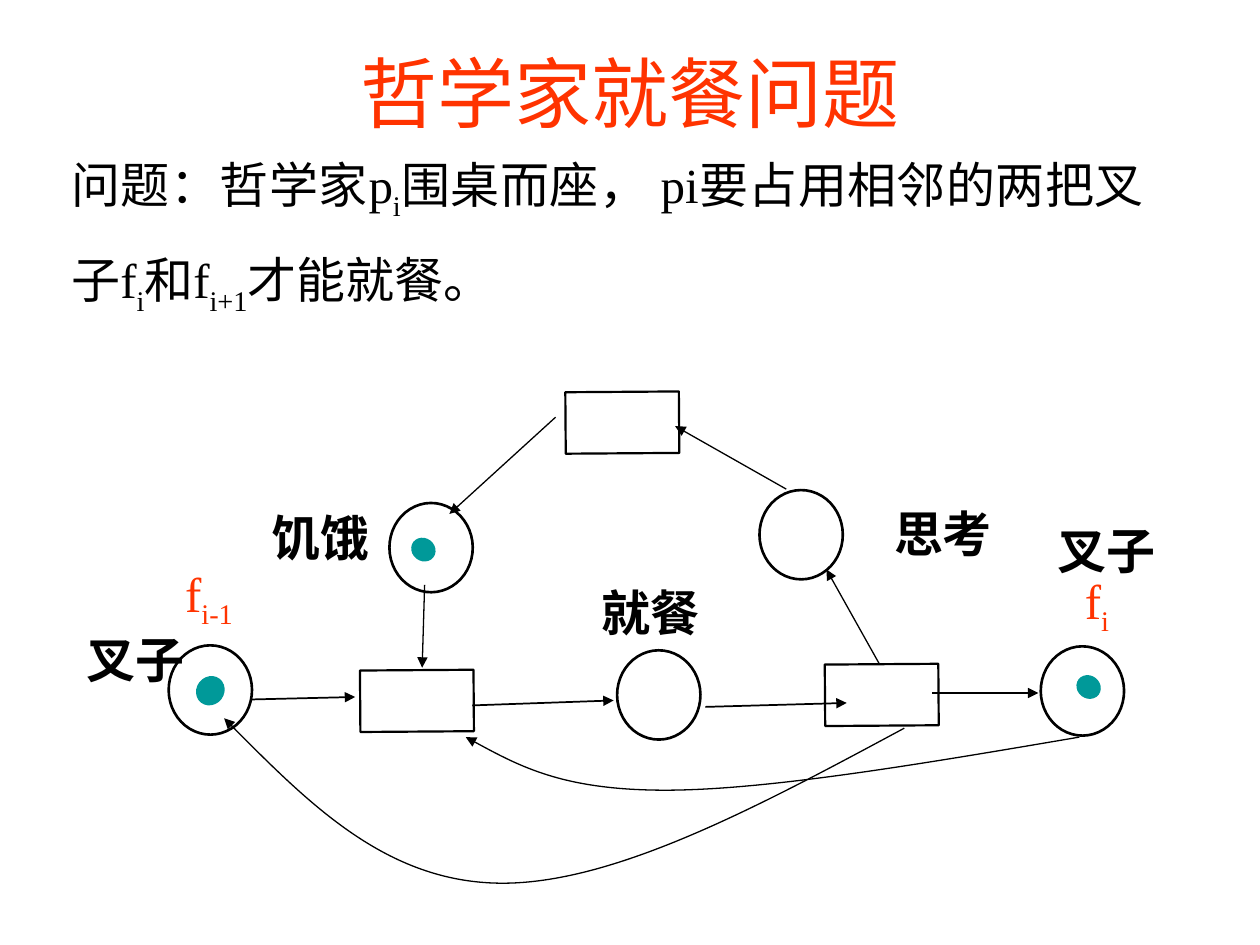
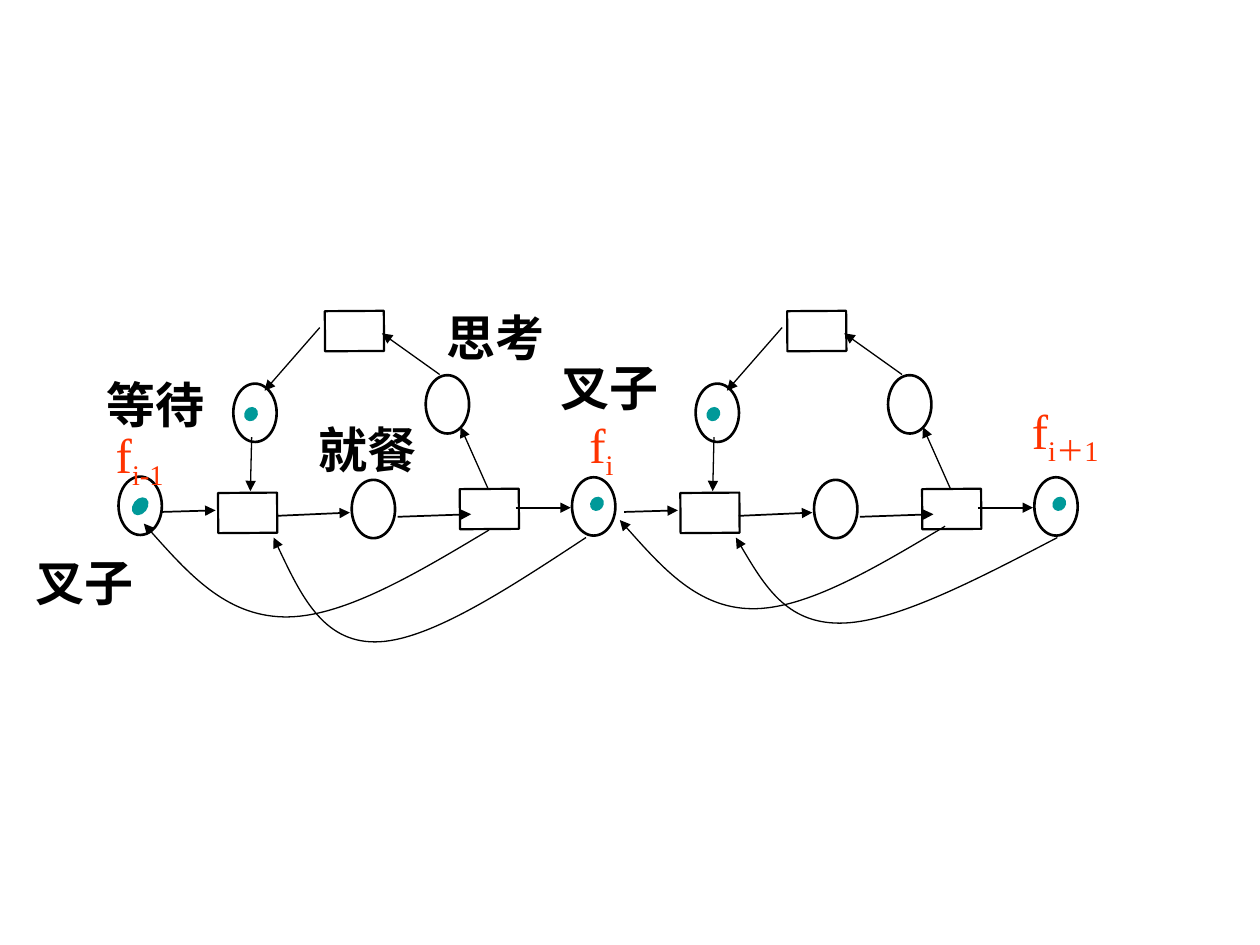
from dataclasses import dataclass

from lxml.etree import SubElement
from pptx import Presentation
from pptx.dml.color import RGBColor
from pptx.enum.shapes import MSO_CONNECTOR, MSO_SHAPE
from pptx.enum.text import MSO_ANCHOR, MSO_AUTO_SIZE, PP_ALIGN
from pptx.oxml.ns import qn
from pptx.util import Cm, Pt


@dataclass(frozen=True)
class Theme:
    font: str = "Times New Roman"
    ink: RGBColor = RGBColor(0x00, 0x00, 0x00)
    accent: RGBColor = RGBColor(0xFF, 0x33, 0x00)
    token: RGBColor = RGBColor(0x00, 0x99, 0x99)
    title_size: int = 44
    text_size: int = 28
    place_line: float = 1.5
    transition_line: float = 1.25
    flow_line: float = 1
    thin_line: float = 0.75


THEME = Theme()

# The net is laid out in centimetres on a design box, then scaled to its box.
DESIGN_WIDTH, DESIGN_HEIGHT = 19.25, 7.01
NODE_TILT, TOKEN_TILT = 359.6, 37.7

PLACE_SIZE = (1.68, 1.8)
FORK_BEFORE, FORK_AFTER = (0, 5.11), (17.58, 5.13)
STATE_PLACES = {
    "eating": (9.04, 5.21),
    "hungry": (4.45, 2.24),
    "thinking": (11.91, 1.98),
}

TRANSITION_SIZE = (2.29, 1.24)
TRANSITIONS = [(3.86, 5.61), (8, 0), (13.23, 5.49)]

HUNGRY_TOKEN = (4.88, 2.95, 0.51, 0.46)
FORK_BEFORE_TOKEN = (0.56, 5.72, 0.56, 0.61)
FORK_AFTER_TOKEN = (18.29, 5.72, 0.51, 0.46)

FLOW_ARROWS = [
    ((1.68, 6.2), (3.76, 6.15)),
    ((6.12, 6.32), (8.97, 6.22)),
    ((10.82, 6.35), (13.67, 6.27)),
    ((15.39, 6.07), (17.53, 6.07)),
]
CYCLE_ARROWS = [
    ((14.33, 5.49), (13.26, 3.58)),
    ((12.45, 1.96), (10.21, 0.69)),
    ((7.8, 0.51), (5.66, 2.46)),
    ((5.16, 3.89), (5.11, 5.56)),
]

STATE_LABEL_SIZE = (2.46, 1.45)
FORK_LABEL_HEIGHT = 1.6
LABEL_SLACK = 0.1  # added on both sides so that a label stays on one line


@dataclass(frozen=True)
class Box:
    left: float
    top: float
    width: float
    height: float

    def point(self, x, y):
        """Slide position of a point of the design box."""
        return (Cm(self.left + x * self.width / DESIGN_WIDTH),
                Cm(self.top + y * self.height / DESIGN_HEIGHT))

    def extent(self, width, height):
        return (Cm(width * self.width / DESIGN_WIDTH),
                Cm(height * self.height / DESIGN_HEIGHT))


def add_text(slide, text, left, top, width, height, *, size=THEME.text_size,
             color=THEME.ink, bold=False, align=PP_ALIGN.CENTER, wrap=False,
             closing_size=None):
    """Add a text box; every second piece between bars is a subscript.

    A closing size adds a final space of that size, which opens up the last line.
    """
    slack = 0 if wrap else LABEL_SLACK
    frame = slide.shapes.add_textbox(
        Cm(left - slack), Cm(top), Cm(width + 2 * slack), Cm(height)).text_frame
    frame.word_wrap = wrap
    frame.auto_size = MSO_AUTO_SIZE.NONE if wrap else MSO_AUTO_SIZE.SHAPE_TO_FIT_TEXT
    frame.vertical_anchor = MSO_ANCHOR.TOP
    paragraph = frame.paragraphs[0]
    paragraph.alignment = align
    pieces = [(piece, size, index % 2) for index, piece in enumerate(text.split("|"))]
    if closing_size:
        pieces.append((" ", closing_size, False))
    for piece, piece_size, is_subscript in pieces:
        if not piece:
            continue
        run = paragraph.add_run()
        run.text = piece
        run.font.name = THEME.font
        run.font.size = Pt(piece_size)
        run.font.bold = bold
        run.font.color.rgb = color
        if is_subscript:
            run.font._element.set("baseline", "-25000")


def style_line(shape, width, arrow=False):
    shape.line.color.rgb = THEME.ink
    shape.line.width = Pt(width)
    if arrow:
        SubElement(shape.line._get_or_add_ln(), qn("a:tailEnd"), type="triangle")


def add_node(slide, box, kind, position, size, line_width):
    node = slide.shapes.add_shape(kind, *box.point(*position), *box.extent(*size))
    node.shadow.inherit = False
    node.rotation = NODE_TILT
    node.fill.background()
    style_line(node, line_width)


def add_token(slide, box, x, y, width, height):
    token = slide.shapes.add_shape(
        MSO_SHAPE.OVAL, *box.point(x, y), *box.extent(width, height))
    token.shadow.inherit = False
    token.rotation = TOKEN_TILT
    token.fill.solid()
    token.fill.fore_color.rgb = THEME.token
    token.line.fill.background()


def add_arrow(slide, box, start, end, width):
    arrow = slide.shapes.add_connector(
        MSO_CONNECTOR.STRAIGHT, *box.point(*start), *box.point(*end))
    style_line(arrow, width, arrow=True)
    SubElement(arrow._element.spPr, qn("a:effectLst"))


def midpoint(a, b):
    return (a[0] + b[0]) / 2, (a[1] + b[1]) / 2


def add_return_curve(slide, box, start, first_pull, second_pull, end):
    """Draw two joined Bezier curves that sag towards the two pull points."""
    outline = [start, midpoint(start, first_pull), first_pull,
               midpoint(first_pull, second_pull),
               second_pull, midpoint(second_pull, end), end]
    points = [box.point(*point) for point in outline]
    builder = slide.shapes.build_freeform(*points[0])
    builder.add_line_segments(points[1:], close=False)
    curve = builder.convert_to_shape()
    curve.shadow.inherit = False
    curve.fill.background()
    style_line(curve, THEME.thin_line, arrow=True)

    segments = list(curve._element.iter(qn("a:lnTo")))
    outline_xml = segments[0].getparent()
    for first in range(0, len(segments), 3):
        bezier = SubElement(outline_xml, qn("a:cubicBezTo"))
        for segment in segments[first:first + 3]:
            bezier.append(segment[0])
            outline_xml.remove(segment)


def add_net(slide, box, return_curves, shares_first_fork=False):
    """Draw one philosopher's net; a shared first fork is left to its neighbour."""
    places = [*STATE_PLACES.values(), FORK_AFTER]
    tokens = [HUNGRY_TOKEN, FORK_AFTER_TOKEN]
    if not shares_first_fork:
        places.append(FORK_BEFORE)
        tokens.append(FORK_BEFORE_TOKEN)
    for position in places:
        add_node(slide, box, MSO_SHAPE.OVAL, position, PLACE_SIZE, THEME.place_line)
    for position in TRANSITIONS:
        add_node(slide, box, MSO_SHAPE.RECTANGLE, position, TRANSITION_SIZE,
                 THEME.transition_line)
    for token in tokens:
        add_token(slide, box, *token)
    for start, end in FLOW_ARROWS:
        add_arrow(slide, box, start, end, THEME.flow_line)
    for start, end in CYCLE_ARROWS:
        add_arrow(slide, box, start, end, THEME.thin_line)
    for curve in return_curves:
        add_return_curve(slide, box, *curve)


def add_labels(slide, box, states, forks):
    """Place labels at offsets in centimetres from the corner of the net."""
    for text, x, y in states:
        add_text(slide, text, box.left + x, box.top + y, *STATE_LABEL_SIZE, bold=True)
    for text, x, y, width in forks:
        add_text(slide, text, box.left + x, box.top + y, width, FORK_LABEL_HEIGHT,
                 color=THEME.accent)


def build_problem_slide(slide):
    add_text(slide, "哲学家就餐问题", 1.27, 0.79, 22.86, 3.18,
             size=THEME.title_size, color=THEME.accent, wrap=True)
    add_text(slide, "问题：哲学家p|i|围桌而座， pi要占用相邻的两把叉子f|i|和f|i+1|才能就餐。",
             1.19, 3, 22.12, 3.53, align=PP_ALIGN.JUSTIFY, wrap=True,
             closing_size=THEME.title_size)
    box = Box(3.4, 7.9, DESIGN_WIDTH, DESIGN_HEIGHT)
    add_net(slide, box, [
        ((14.83, 6.78), (8.97, 9.93), (4.39, 9.88), (1.12, 6.58)),
        ((18.36, 6.96), (12.07, 8.03), (7.95, 8.03), (5.99, 6.96)),
    ])
    add_labels(
        slide, box,
        states=[("思考", 14.38, 2.13), ("饥饿", 1.83, 2.21), ("就餐", 8.49, 3.71),
                ("叉子", 17.68, 2.46), ("叉子", -1.9, 4.67)],
        forks=[("f|i-1", 0.08, 3.33, 1.47), ("f|i", 18.22, 3.48, 0.99)])


def build_neighbours_slide(slide):
    first = Box(2.39, 6.27, 10.01, 4.58)
    second = Box(first.left + 9.32, first.top, first.width, first.height)
    add_net(slide, first, [
        ((14.36, 6.76), (8.65, 9.48), (4.15, 9.4), (0.98, 6.56)),
        ((18.12, 6.99), (11.97, 10.21), (7.91, 10.21), (6.01, 6.99)),
    ])
    add_net(slide, second, [
        ((14.12, 6.64), (8.74, 9.2), (4.54, 9.17), (1.51, 6.45)),
        ((18.47, 6.99), (12.11, 9.63), (7.96, 9.63), (6.01, 6.99)),
    ], shares_first_fork=True)
    add_labels(
        slide, first,
        states=[("思考", 6.37, -0.2), ("等待", -0.48, 1.15), ("就餐", 3.78, 2.06),
                ("叉子", 8.66, 0.82), ("叉子", -1.91, 4.75)],
        forks=[("f|i-1", -0.31, 2.16, 1.47), ("f|i", 9.24, 1.96, 0.99)])
    add_labels(slide, second, states=[], forks=[("f|i＋1", 8.61, 1.68, 2.31)])


def main():
    deck = Presentation()
    deck.slide_width, deck.slide_height = Cm(25.4), Cm(19.05)
    blank = deck.slide_layouts[6]
    for build in (build_problem_slide, build_neighbours_slide):
        build(deck.slides.add_slide(blank))
    deck.save("out.pptx")


if __name__ == "__main__":
    main()
